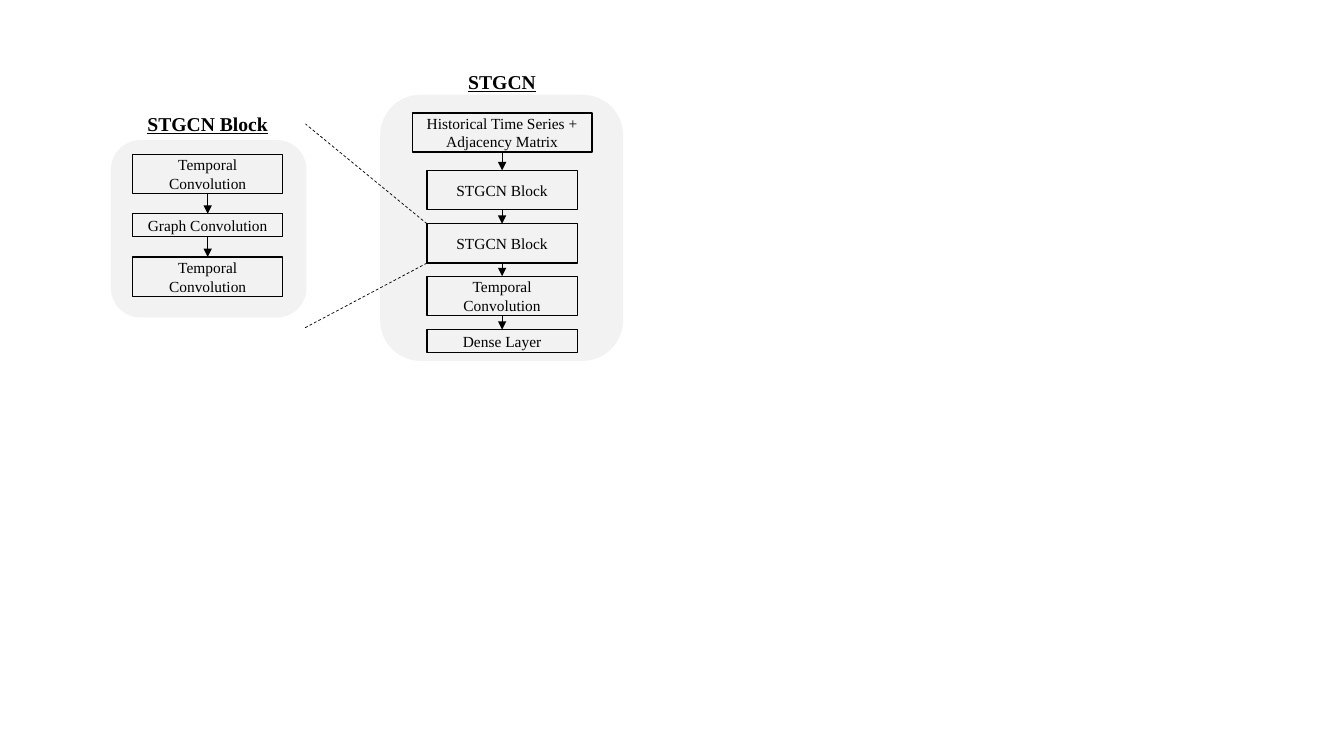
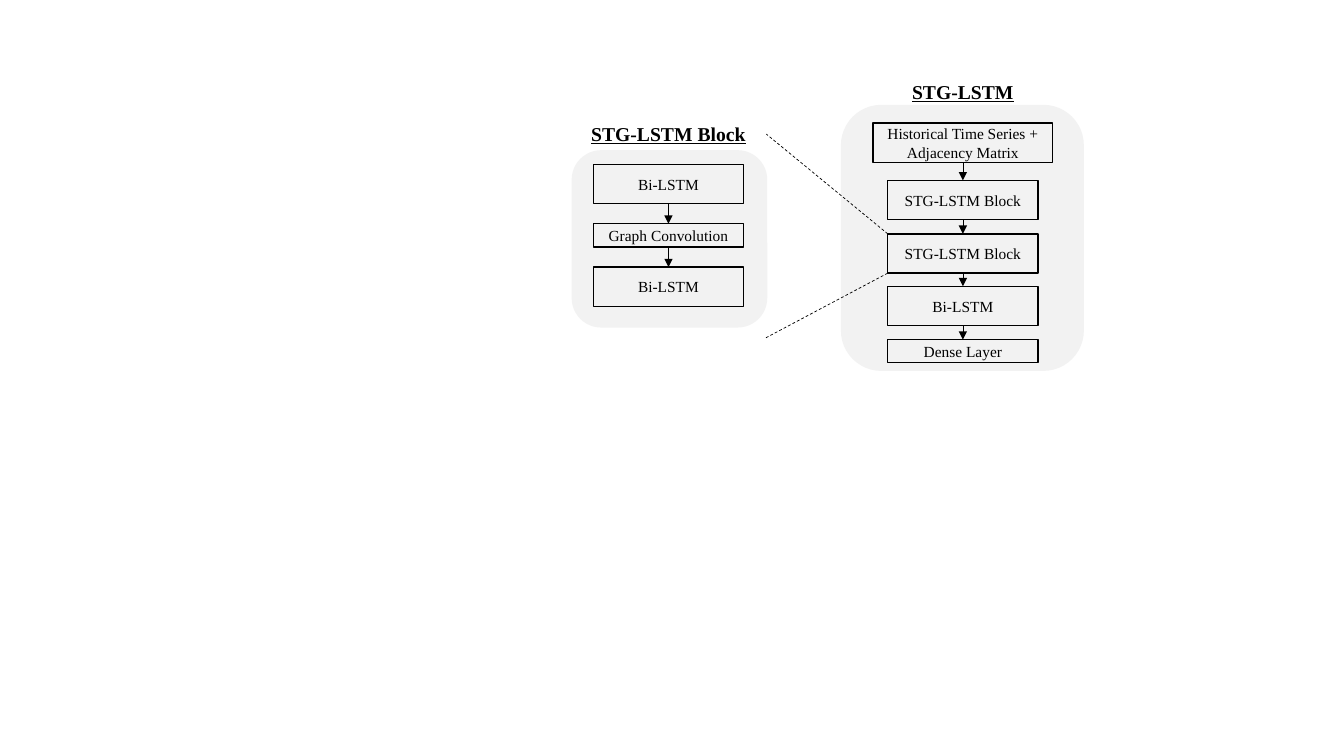
"""Build two slides that compare the STGCN and STG-LSTM architectures."""
from dataclasses import dataclass

from lxml.etree import SubElement
from pptx import Presentation
from pptx.dml.color import RGBColor
from pptx.enum.dml import MSO_LINE
from pptx.enum.shapes import MSO_CONNECTOR as Connector, MSO_SHAPE as Preset
from pptx.enum.text import MSO_ANCHOR, MSO_AUTO_SIZE, PP_ALIGN
from pptx.oxml.ns import qn
from pptx.util import Inches, Pt


@dataclass(frozen=True)
class Theme:
    """Colours, font, type sizes and line widths."""
    ink: RGBColor = RGBColor(0x00, 0x00, 0x00)
    panel: RGBColor = RGBColor(0xF2, 0xF2, 0xF2)
    font: str = "Times New Roman"
    heading_size: float = 14
    layer_size: float = 11
    border: float = 1
    hairline: float = 0.5


class Diagram:
    """Draw the diagram elements on the current slide, shifted by an origin."""

    def __init__(self, deck, theme):
        self.deck = deck
        self.theme = theme

    def new_slide(self, left, top):
        """Start a blank slide whose diagram is shifted by left and top."""
        self.slide = self.deck.slides.add_slide(self.deck.slide_layouts[6])
        self.left, self.top = left, top

    def place(self, x, y):
        """Return the slide position of a diagram point."""
        return Inches(self.left + x), Inches(self.top + y)

    def set_text(self, frame, text, size, emphasis=None):
        """Set centred text in the theme font."""
        frame.word_wrap = True
        frame.text = text
        paragraph = frame.paragraphs[0]
        paragraph.alignment = PP_ALIGN.CENTER
        font = paragraph.runs[0].font
        font.name, font.size = self.theme.font, Pt(size)
        font.color.rgb = self.theme.ink
        font.bold = font.underline = emphasis

    def heading(self, center, top, text):
        """Add an underlined heading centred over a panel."""
        width = 1.94
        label = self.slide.shapes.add_textbox(
            *self.place(center - width / 2, top), Inches(width), Inches(0.34))
        self.set_text(label.text_frame, text, self.theme.heading_size, True)
        label.text_frame.auto_size = MSO_AUTO_SIZE.SHAPE_TO_FIT_TEXT

    def panel(self, left, top, width, height):
        """Add a rounded grey panel."""
        panel = self.slide.shapes.add_shape(
            Preset.ROUNDED_RECTANGLE, *self.place(left, top),
            Inches(width), Inches(height))
        panel.shadow.inherit = False
        panel.fill.solid()
        panel.fill.fore_color.rgb = self.theme.panel
        panel.line.fill.background()

    def layer(self, center, top, width, height, text):
        """Add an outlined layer box and return it."""
        layer = self.slide.shapes.add_shape(
            Preset.RECTANGLE, *self.place(center - width / 2, top),
            Inches(width), Inches(height))
        layer.shadow.inherit = False
        layer.fill.background()
        layer.line.color.rgb = self.theme.ink
        layer.line.width = Pt(self.theme.border)
        layer.text_frame.vertical_anchor = MSO_ANCHOR.MIDDLE
        self.set_text(layer.text_frame, text, self.theme.layer_size)
        return layer

    def line(self, start, end):
        """Add a thin straight line and return it."""
        line = self.slide.shapes.add_connector(
            Connector.STRAIGHT, *self.place(*start), *self.place(*end))
        line.line.color.rgb = self.theme.ink
        line.line.width = Pt(self.theme.hairline)
        SubElement(line.element.spPr, qn("a:effectLst"))
        return line

    def arrow(self, upper, lower):
        """Link two layers with an arrow from bottom to top."""
        arrow = self.line((0, 0), (0, 0))
        arrow.begin_connect(upper, 2)
        arrow.end_connect(lower, 0)
        outline = arrow.element.spPr.find(qn("a:ln"))
        SubElement(outline, qn("a:tailEnd"), type="triangle")

    def zoom_line(self, start, end):
        """Add a dashed line from a layer corner to its enlarged view."""
        self.line(start, end).line.dash_style = MSO_LINE.DASH

    def stack(self, center, top, layers, gaps):
        """Stack layers of (text, width, height) downwards, joined by arrows."""
        previous = None
        for (text, width, height), gap in zip(layers, (*gaps, 0)):
            current = self.layer(center, top, width, height, text)
            if previous is not None:
                self.arrow(previous, current)
            previous = current
            top += height + gap


def draw_architecture(diagram, model, temporal):
    """Draw one model beside the enlarged view of its block."""
    block = f"{model} Block"
    width, tall, short = 1.49, 0.39, 0.23
    block_center, model_center = 2.06, 4.98

    diagram.panel(1.1, 1.39, 1.94, 1.76)
    diagram.stack(block_center, 1.53, [
        (temporal, width, tall),
        ("Graph Convolution", width, short),
        (temporal, width, tall),
    ], (0.2, 0.2))
    diagram.heading(block_center, 1.06, block)

    diagram.panel(3.77, 0.94, 2.41, 2.64)
    diagram.stack(model_center, 1.12, [
        ("Historical Time Series + Adjacency Matrix", 1.78, tall),
        (block, width, tall),
        (block, width, tall),
        (temporal, width, tall),
        ("Dense Layer", width, short),
    ], (0.18, 0.14, 0.13, 0.14))
    corner, block_top = model_center - width / 2, 2.22
    diagram.zoom_line((corner, block_top), (3.03, 1.23))
    diagram.zoom_line((corner, block_top + tall), (3.01, 3.26))
    diagram.heading(model_center, 0.64, model)


def main():
    """Build and save the deck."""
    deck = Presentation()
    deck.slide_width, deck.slide_height = Inches(13.33), Inches(7.5)
    diagram = Diagram(deck, Theme())
    for origin, model, temporal in (
        ((0, 0), "STGCN", "Temporal Convolution"),
        ((4.57, 0.1), "STG-LSTM", "Bi-LSTM"),
    ):
        diagram.new_slide(*origin)
        draw_architecture(diagram, model, temporal)
    deck.save("out.pptx")


main()
